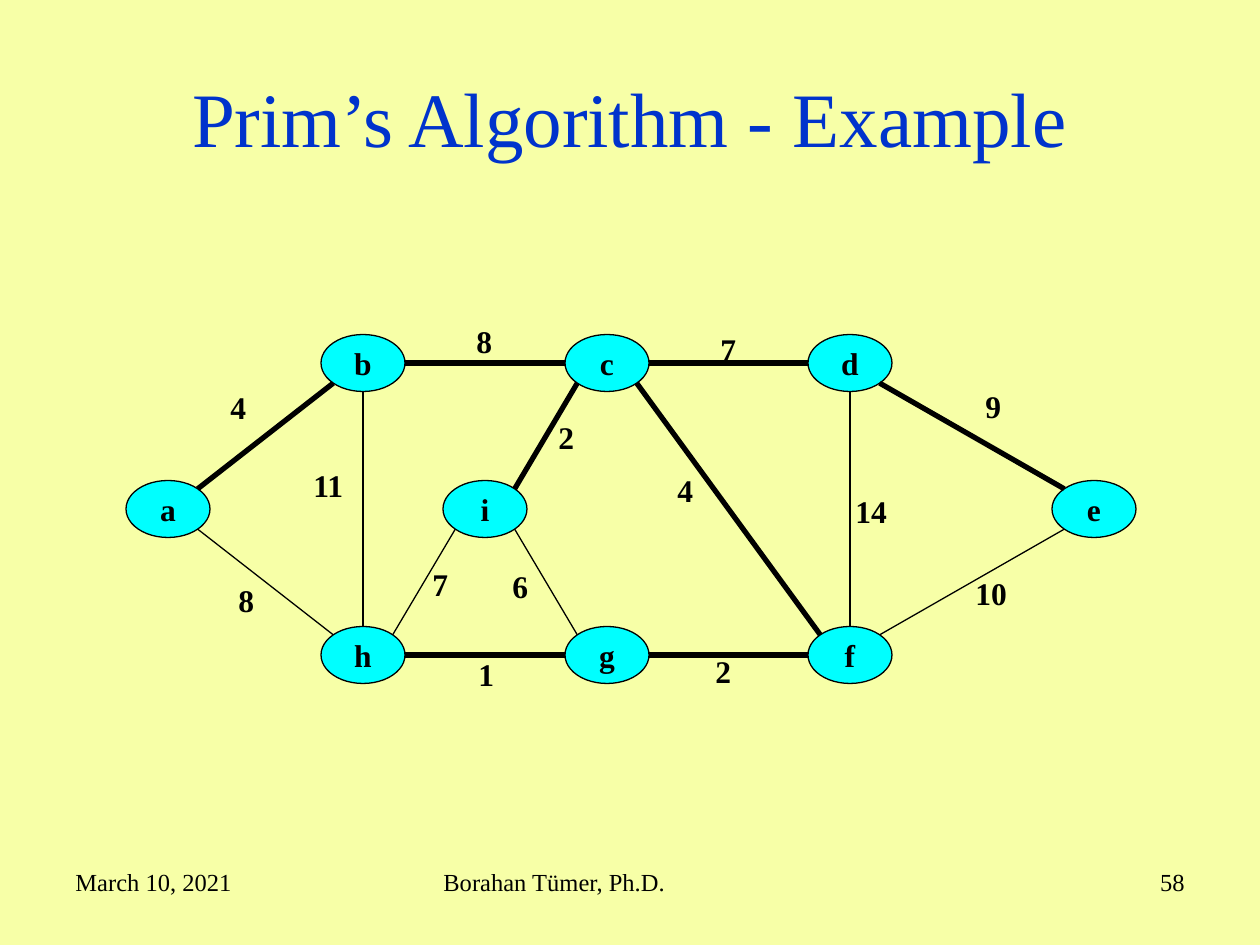
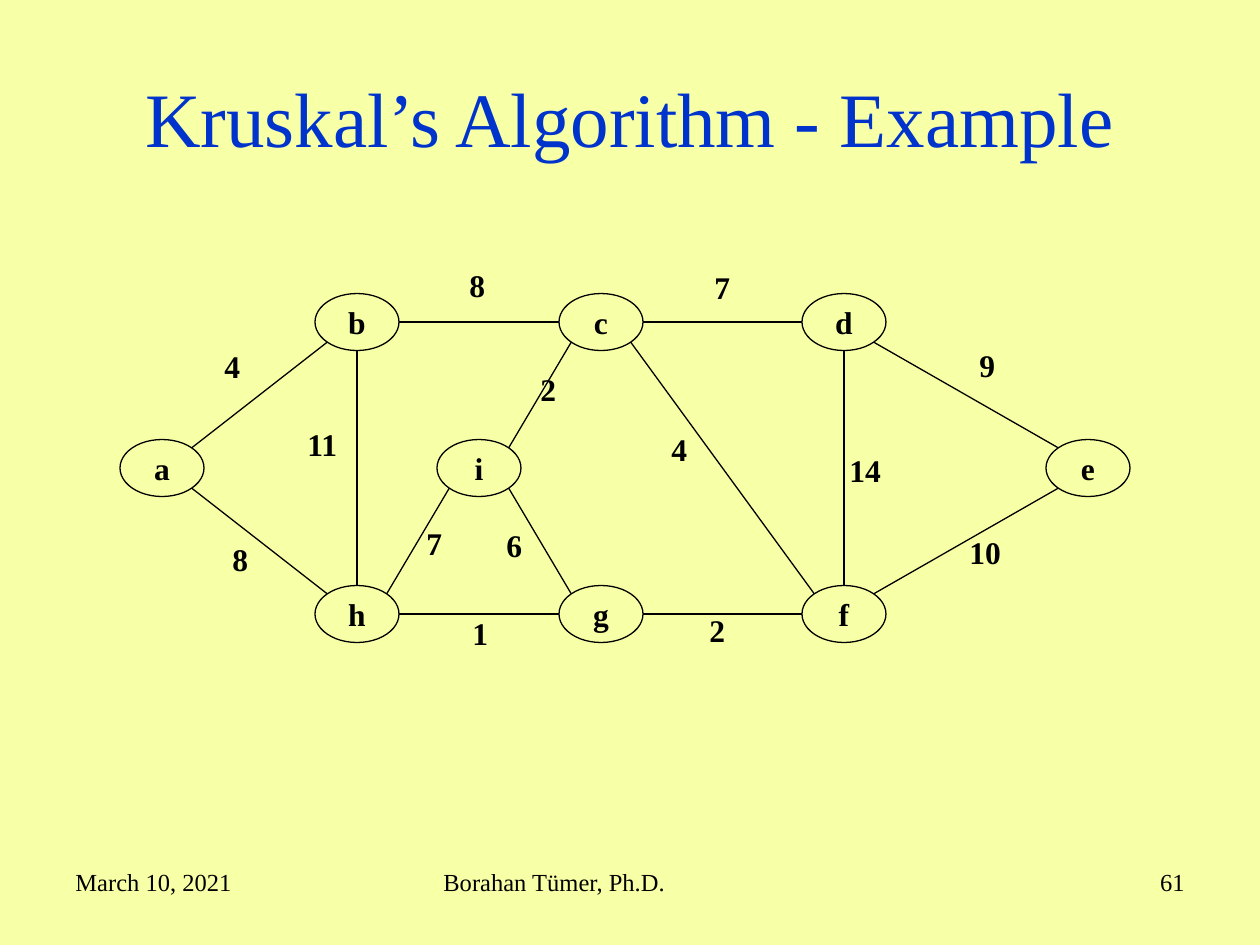
from dataclasses import dataclass
from math import sqrt

from pptx import Presentation
from pptx.dml.color import RGBColor
from pptx.enum.shapes import MSO_CONNECTOR as Connector, MSO_SHAPE as Shape
from pptx.enum.text import MSO_ANCHOR as Anchor, MSO_AUTO_SIZE as AutoSize, PP_ALIGN as Align
from pptx.oxml.xmlchemy import OxmlElement
from pptx.util import Emu, Pt

EMU_PER_PX = 914400 / 126


@dataclass(frozen=True)
class Theme:
    font: str = "Times New Roman"
    paper: RGBColor = RGBColor(0xF7, 0xFF, 0xA7)
    ink: RGBColor = RGBColor(0, 0, 0)
    title: RGBColor = RGBColor(0x00, 0x33, 0xCC)
    visited: RGBColor = RGBColor(0x00, 0xFF, 0xFF)
    title_size: int = 44
    graph_size: int = 18
    footer_size: int = 14
    thin: float = 0.75
    thick: float = 3


THEME = Theme()

# Graph: all positions are relative to the centre of vertex a
NODE_WIDTH, NODE_HEIGHT = 84, 57
ROW_STEP = 146
NODES = {
    "a": (0, 0), "b": (195, -ROW_STEP), "c": (439, -ROW_STEP),
    "d": (682, -ROW_STEP), "e": (926, 0), "i": (317, 0),
    "h": (195, ROW_STEP), "g": (439, ROW_STEP), "f": (682, ROW_STEP),
}
# Edge: (weight, left and top of its label)
EDGES = {
    "ab": (4, 50, -127), "bc": (8, 296, -193), "cd": (7, 540, -185),
    "de": (9, 805, -128), "df": (14, 675, -23), "ef": (10, 795, 59),
    "cf": (4, 497, -44), "fg": (2, 535, 137), "ig": (6, 332, 52),
    "ci": (2, 378, -97), "bh": (11, 133, -49), "ah": (8, 58, 66),
    "hg": (1, 298, 140), "hi": (7, 252, 50),
}
PRIM_TREE = {"ab", "bc", "cd", "de", "cf", "fg", "ci", "hg"}
KRUSKAL_LABELS = {"bc": (8, 295, -208), "cd": (7, 540, -206), "ci": (2, 366, -104)}


def px(*lengths):
    return [Emu(round(length * EMU_PER_PX)) for length in lengths]


def write(shape, text, size, color=THEME.ink, bold=False, align=Align.LEFT,
          anchor=Anchor.TOP, wrap=True):
    frame = shape.text_frame
    frame.text = text
    frame.word_wrap = wrap
    frame.vertical_anchor = anchor
    para = frame.paragraphs[0]
    para.alignment = align
    for span in para.runs:
        span.font.name = THEME.font
        span.font.size = Pt(size)
        span.font.bold = bold
        span.font.color.rgb = color


def add_text(page, text, left, top, width, height, size, **style):
    box = page.shapes.add_textbox(*px(left, top, width, height))
    write(box, text, size, **style)
    return box


def add_frame(page, title, number):
    """Title and footer line."""
    add_text(page, title, 63, 38, 1134, 158, THEME.title_size, color=THEME.title,
             align=Align.CENTER, anchor=Anchor.MIDDLE)
    footers = [("March 10, 2021", 63, 294, Align.LEFT),
               ("Borahan Tümer, Ph.D.", 431, 399, Align.LEFT),
               (str(number), 903, 294, Align.RIGHT)]
    for text, left, width, align in footers:
        add_text(page, text, left, 861, width, 66, THEME.footer_size, align=align)


def add_node(page, name, x, y, fill):
    node = page.shapes.add_shape(Shape.OVAL, *px(
        x - NODE_WIDTH / 2, y - NODE_HEIGHT / 2, NODE_WIDTH, NODE_HEIGHT))
    node.shadow.inherit = False
    if fill is None:
        node.fill.background()
    else:
        node.fill.solid()
        node.fill.fore_color.rgb = fill
    node.line.color.rgb = THEME.ink
    node.line.width = Pt(THEME.thin)
    write(node, name, THEME.graph_size, bold=True, align=Align.CENTER,
          anchor=Anchor.MIDDLE, wrap=False)


def rim_points(start, end):
    """Ends of an edge on the ovals, at the nearest of eight compass points."""
    (x1, y1), (x2, y2) = start, end
    across, down = (x2 > x1) - (x2 < x1), (y2 > y1) - (y2 < y1)
    reach = 1 / sqrt(2) if across and down else 1
    dx, dy = across * reach * NODE_WIDTH / 2, down * reach * NODE_HEIGHT / 2
    return x1 + dx, y1 + dy, x2 - dx, y2 - dy


def add_edge(page, start, end, weight):
    edge = page.shapes.add_connector(Connector.STRAIGHT, *px(*rim_points(start, end)))
    edge.line.color.rgb = THEME.ink
    edge.line.width = Pt(weight)
    edge._element.spPr.append(OxmlElement("a:effectLst"))


def add_weight(page, weight, left, top):
    text = str(weight)
    box = add_text(page, text, left, top, 25 + 16 * len(text), 50,
                   THEME.graph_size, bold=True, wrap=False)
    box.text_frame.auto_size = AutoSize.SHAPE_TO_FIT_TEXT


def add_graph(page, origin, edges, fill=None, tree=()):
    x0, y0 = origin
    centres = {name: (x0 + x, y0 + y) for name, (x, y) in NODES.items()}
    for name, centre in centres.items():
        add_node(page, name, *centre, fill)
    for ends, (weight, left, top) in edges.items():
        start, end = ends
        add_edge(page, centres[start], centres[end],
                 THEME.thick if ends in tree else THEME.thin)
        add_weight(page, weight, x0 + left, y0 + top)


def add_page(deck, title, number):
    page = deck.slides.add_slide(deck.slide_layouts[6])
    add_frame(page, title, number)
    return page


def main():
    deck = Presentation()
    deck.slide_width, deck.slide_height = px(1260, 945)
    paper = deck.slide_master.background.fill
    paper.solid()
    paper.fore_color.rgb = THEME.paper

    # Finished spanning tree
    page = add_page(deck, "Prim’s Algorithm - Example", 58)
    add_graph(page, (168, 509), EDGES, THEME.visited, PRIM_TREE)

    # Untouched graph
    page = add_page(deck, "Kruskal’s Algorithm - Example", 61)
    add_graph(page, (162, 468), EDGES | KRUSKAL_LABELS)

    deck.save("out.pptx")


if __name__ == "__main__":
    main()
